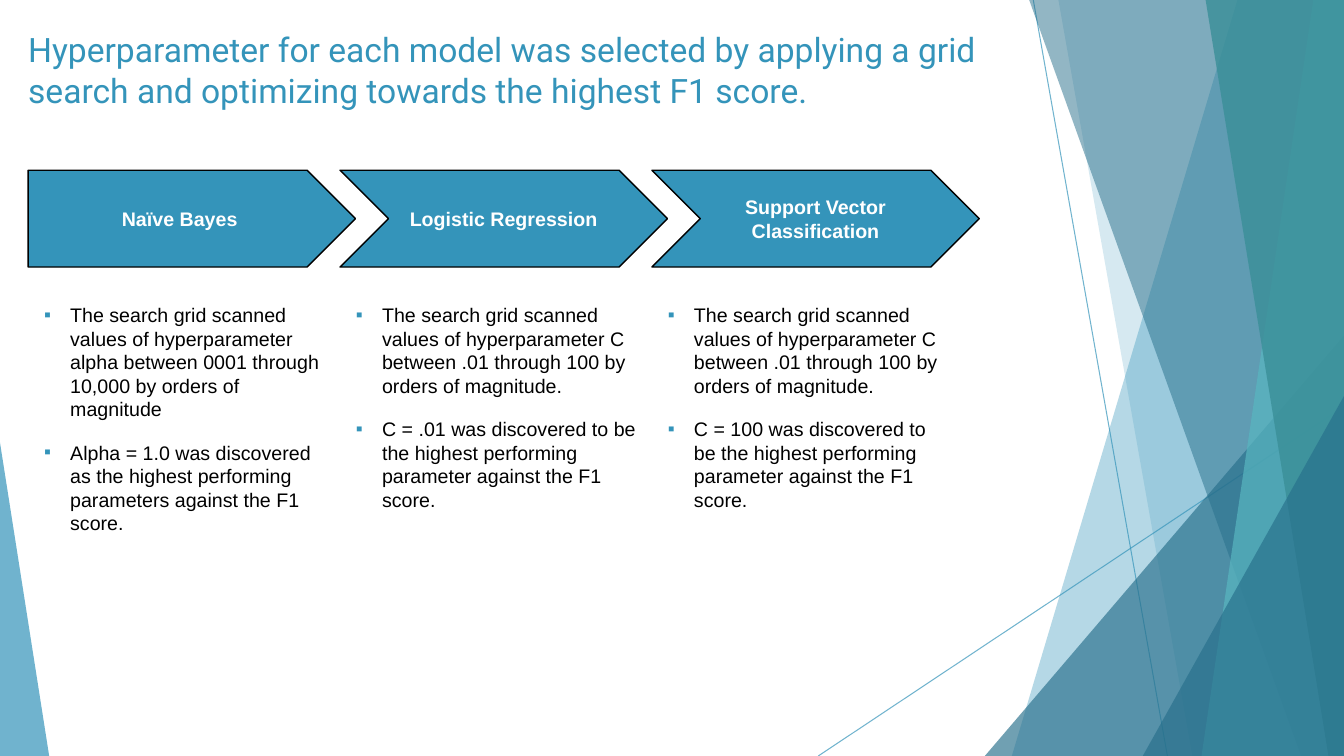
"""Build the slide on how each model's hyperparameter was selected."""
import pptx
import pptx.dml.color
import pptx.enum.shapes
import pptx.enum.text
import pptx.oxml
import pptx.oxml.ns
import pptx.util

Cm = pptx.util.Cm
Pt = pptx.util.Pt
kinds = pptx.enum.shapes.MSO_SHAPE
anchors = pptx.enum.text.MSO_ANCHOR
colours = {
    "blue": "3494BA", "navy": "276F8B", "aqua": "58B6C0",
    "teal": "3A8F98", "black": "000000", "white": "FFFFFF",
}
namespace = pptx.oxml.ns.nsdecls("a")


def paint(fill, name, opacity=100):
    """Fill with a named colour at an opacity in percent."""
    fill.solid()
    fill.fore_color.rgb = pptx.dml.color.RGBColor.from_string(colours[name])
    if opacity < 100:
        for colour in fill._xPr.iter(pptx.oxml.ns.qn("a:srgbClr")):
            colour.append(pptx.oxml.parse_xml(
                f'<a:alpha {namespace} val="{opacity * 1000}"/>'))


def write(shape, lines, font, size, colour, margins, bold=False):
    """Write one paragraph per line and return the paragraphs."""
    frame = shape.text_frame
    frame.word_wrap = True
    frame.margin_left, frame.margin_top, frame.margin_right, frame.margin_bottom = map(Cm, margins)
    for index, line in enumerate(lines):
        para = frame.add_paragraph() if index else frame.paragraphs[0]
        span = para.add_run()
        span.text = line
        span.font.name = font
        span.font.size = Pt(size)
        span.font.bold = bold
        paint(span.font.fill, colour)
    return frame.paragraphs


deck = pptx.Presentation()
deck.slide_width, deck.slide_height = Cm(33.87), Cm(19.05)
page = deck.slides.add_slide(deck.slide_layouts[6])
right, bottom = 33.87, 19.05

for start_x, start_y, end_x in [(26.04, 0, 29.42), (right, 10.24, 20.62)]:
    ray = page.shapes.add_connector(
        pptx.enum.shapes.MSO_CONNECTOR.STRAIGHT,
        Cm(start_x), Cm(start_y), Cm(end_x), Cm(bottom))
    ray.line.width = Pt(0.75)
    paint(ray.line.fill, "blue", 70)
    ray._element.spPr.append(pptx.oxml.parse_xml(f"<a:effectLst {namespace}/>"))

facets = [
    ("band", (31.19, 25.5), "blue", 36),
    ("band", (26.67, 30.05), "blue", 20),
    ("triangle", (24.82, 8.46, 9.05, 1), "navy", 66),
    ("band", (25.93, 32.79), "navy", 50),
    ("band", (33.1, 30.28), "aqua", 70),
    ("band", (30.38, 33.48), "teal", 80),
    ("triangle", (28.8, 9.98, 5.07, 1), "navy", 66),
    ("triangle", (0, 11.15, 1.24, 0), "blue", 70),
]
for form, measures, colour, opacity in facets:
    if form == "band":
        top_x, bottom_x = measures
        outline = page.shapes.build_freeform(Cm(top_x), Cm(-0.02))
        outline.add_line_segments([
            (Cm(right), Cm(-0.02)), (Cm(right), Cm(bottom)), (Cm(bottom_x), Cm(bottom))])
        facet = outline.convert_to_shape()
    else:
        left, top, width, apex = measures
        facet = page.shapes.add_shape(
            kinds.ISOSCELES_TRIANGLE, Cm(left), Cm(top), Cm(width), Cm(bottom - top))
        facet.adjustments[0] = apex
    facet.shadow.inherit = False
    facet.line.fill.background()
    paint(facet.fill, colour, opacity)

title = page.shapes.add_textbox(Cm(0.46), Cm(0.61), Cm(24.49), Cm(1.93))
write(title, ["Hyperparameter for each model was selected by applying a grid search "
              "and optimizing towards the highest F1 score."],
      "Roboto", 24, "blue", (0.25, 0.13, 0.25, 0.13))

grid_c = ("The search grid scanned values of hyperparameter C between .01 "
          "through 100 by orders of magnitude.")
models = [
    (kinds.PENTAGON, ["Naïve Bayes"], [
        "The search grid scanned values of hyperparameter alpha between 0001 "
        "through 10,000 by orders of magnitude",
        "Alpha = 1.0 was discovered as the highest performing parameters "
        "against the F1 score."]),
    (kinds.CHEVRON, ["Logistic Regression"], [
        grid_c,
        "C = .01 was discovered to be the highest performing parameter "
        "against the F1 score."]),
    (kinds.CHEVRON, ["Support Vector", "Classification"], [
        grid_c,
        "C = 100 was discovered to be the highest performing parameter "
        "against the F1 score."]),
]
for column, (kind, heading, findings) in enumerate(models):
    offset = column * 7.86
    arrow = page.shapes.add_shape(kind, Cm(0.71 + offset), Cm(4.29), Cm(8.25), Cm(2.44))
    arrow.shadow.inherit = False
    paint(arrow.fill, "blue")
    paint(arrow.line.fill, "black")
    arrow.line.width = Pt(1)
    arrow.text_frame.vertical_anchor = anchors.MIDDLE
    for para in write(arrow, heading, "Arial", 14, "white", (0.25,) * 4, bold=True):
        para.alignment = pptx.enum.text.PP_ALIGN.CENTER

    box = page.shapes.add_textbox(Cm(1.11 + offset), Cm(7.26), Cm(7.16), Cm(9.91))
    for para in write(box, findings, "Arial", 14, "black", (0, 0.38, 0, 0)):
        para.space_before = Pt(14)
        properties = para._p.get_or_add_pPr()
        properties.set("marL", str(Cm(0.66)))
        properties.set("indent", str(Cm(-0.66)))
        for markup in (f'<a:buClr {namespace}><a:srgbClr val="{colours["blue"]}"/></a:buClr>',
                       f'<a:buFont {namespace} typeface="Arial"/>',
                       f'<a:buChar {namespace} char="▪"/>'):
            properties.append(pptx.oxml.parse_xml(markup))

deck.save("out.pptx")
